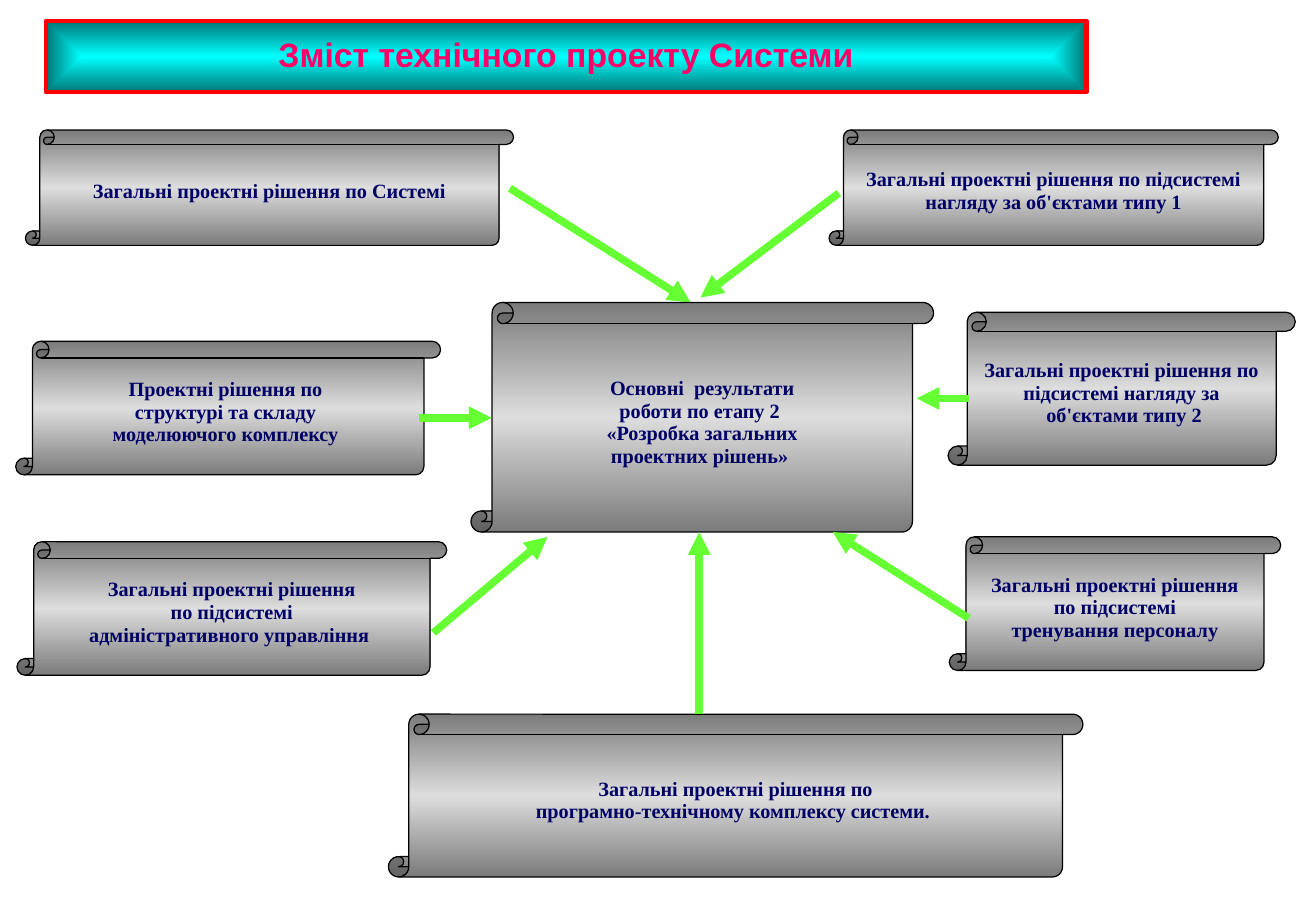
from dataclasses import dataclass

from lxml import etree
from pptx import Presentation
from pptx.dml.color import RGBColor
from pptx.enum import shapes, text
from pptx.oxml import ns, parse_xml
from pptx.util import Inches, Pt


@dataclass(frozen=True)
class Theme:
    title_font: str = "Arial"
    body_font: str = "Times New Roman"
    title_size: float = 20
    body_size: float = 12
    line_spacing: float = 0.93
    title_color: str = "FF0066"
    body_color: str = "000066"
    banner_border: str = "FF0000"
    scroll_border: str = "000000"
    arrow_color: str = "66FF33"
    banner_stops: tuple = ((0, "00FFFF"), (100, "007575"))
    scroll_stops: tuple = ((0, "7B7B7B"), (50, "DDDDDD"), (100, "7B7B7B"))
    banner_direction: str = (
        '<a:path path="rect">'
        '<a:fillToRect l="50000" t="50000" r="50000" b="50000"/></a:path>'
    )
    scroll_direction: str = '<a:lin ang="5400000" scaled="0"/>'


THEME = Theme()

TITLE = "Зміст технічного проекту Системи"

# Result scroll in the centre: (left, top, width, height), curl, text
RESULT = (
    (3.88, 2.49, 3.81, 1.89), 0.092,
    "Основні  результати\nроботи по етапу 2 \n«Розробка загальних\nпроектних рішень» ",
)

# Scrolls around it
SOLUTIONS = [
    ((0.21, 1.07, 4.02, 0.95), 0.125, "Загальні проектні рішення по Системі"),
    ((6.83, 1.07, 3.7, 0.95), 0.125,
     "Загальні проектні рішення по підсистемі\nнагляду за об'єктами типу 1"),
    ((7.81, 2.57, 2.86, 1.26), 0.125,
     "Загальні проектні рішення по\nпідсистемі нагляду за\n об'єктами типу 2"),
    ((7.82, 4.42, 2.73, 1.1), 0.125,
     "Загальні проектні рішення\nпо підсистемі\nтренування персоналу"),
    ((3.2, 5.88, 5.72, 1.34), 0.125,
     "Загальні проектні рішення по\nпрограмно-технічному комплексу системи. "),
    ((0.13, 2.81, 3.5, 1.1), 0.125,
     "Проектні рішення по \nструктурі та складу \nмоделюючого комплексу "),
    ((0.14, 4.46, 3.54, 1.1), 0.125,
     "Загальні проектні рішення\nпо підсистемі\nадміністративного управління "),
]

# Arrows: start x, start y, end x, end y
SYSTEM_ARROW = (4.2, 1.55, 5.69, 2.49)
OTHER_ARROWS = [
    (3.45, 3.44, 4.05, 3.44),
    (3.57, 5.21, 4.51, 4.42),
    (5.76, 5.88, 5.76, 4.38),
    (7.98, 5.09, 6.86, 4.38),
    (6.91, 1.59, 5.77, 2.45),
    (7.98, 3.28, 7.55, 3.28),
]


def write_text(shape, wording, *, font, size, color, wrap):
    frame = shape.text_frame
    frame.text = wording
    frame.word_wrap = wrap
    frame.vertical_anchor = text.MSO_ANCHOR.MIDDLE
    for paragraph in frame.paragraphs:
        paragraph.alignment = text.PP_ALIGN.CENTER
        paragraph.line_spacing = THEME.line_spacing
        for run in paragraph.runs:
            run.font.name = font
            run.font.size = Pt(size)
            run.font.bold = True
            run.font.color.rgb = RGBColor.from_string(color)


def fill_gradient(shape, stops, direction):
    shape.fill.gradient()
    default = shape.element.spPr.find(ns.qn("a:gradFill"))
    stop_xml = "".join(
        f'<a:gs pos="{percent * 1000}"><a:srgbClr val="{color}"/></a:gs>'
        for percent, color in stops
    )
    gradient = parse_xml(
        f'<a:gradFill {ns.nsdecls("a")} rotWithShape="1">'
        f"<a:gsLst>{stop_xml}</a:gsLst>{direction}</a:gradFill>"
    )
    default.getparent().replace(default, gradient)


def set_line(line, color, width):
    line.color.rgb = RGBColor.from_string(color)
    line.width = Pt(width)


def add_banner(slide):
    banner = slide.shapes.add_shape(
        shapes.MSO_SHAPE.RECTANGLE,
        Inches(0.38), Inches(0.17), Inches(8.57), Inches(0.59))
    banner.shadow.inherit = False
    fill_gradient(banner, THEME.banner_stops, THEME.banner_direction)
    set_line(banner.line, THEME.banner_border, 2.5)
    write_text(banner, TITLE, font=THEME.title_font, size=THEME.title_size,
               color=THEME.title_color, wrap=True)


def add_scroll(slide, box, curl, wording):
    scroll = slide.shapes.add_shape(
        shapes.MSO_SHAPE.VERTICAL_SCROLL, *map(Inches, box))
    scroll.adjustments[0] = curl
    scroll.shadow.inherit = False
    fill_gradient(scroll, THEME.scroll_stops, THEME.scroll_direction)
    set_line(scroll.line, THEME.scroll_border, 0.75)
    write_text(scroll, wording, font=THEME.body_font, size=THEME.body_size,
               color=THEME.body_color, wrap=False)


def add_arrow(slide, ends):
    arrow = slide.shapes.add_connector(
        shapes.MSO_CONNECTOR.STRAIGHT, *map(Inches, ends))
    set_line(arrow.line, THEME.arrow_color, 4.5)
    properties = arrow.element.spPr
    outline = properties.find(ns.qn("a:ln"))
    etree.SubElement(outline, ns.qn("a:tailEnd"), type="triangle")
    etree.SubElement(properties, ns.qn("a:effectLst"))


def main():
    deck = Presentation()
    deck.slide_width, deck.slide_height = Inches(10.84), Inches(7.5)
    slide = deck.slides.add_slide(deck.slide_layouts[6])

    # The first arrow lies behind the scrolls
    add_arrow(slide, SYSTEM_ARROW)
    add_banner(slide)

    # Result and the solutions that feed it
    for box, curl, wording in [RESULT, *SOLUTIONS]:
        add_scroll(slide, box, curl, wording)

    # The remaining arrows lie in front
    for ends in OTHER_ARROWS:
        add_arrow(slide, ends)

    deck.save("out.pptx")


if __name__ == "__main__":
    main()
